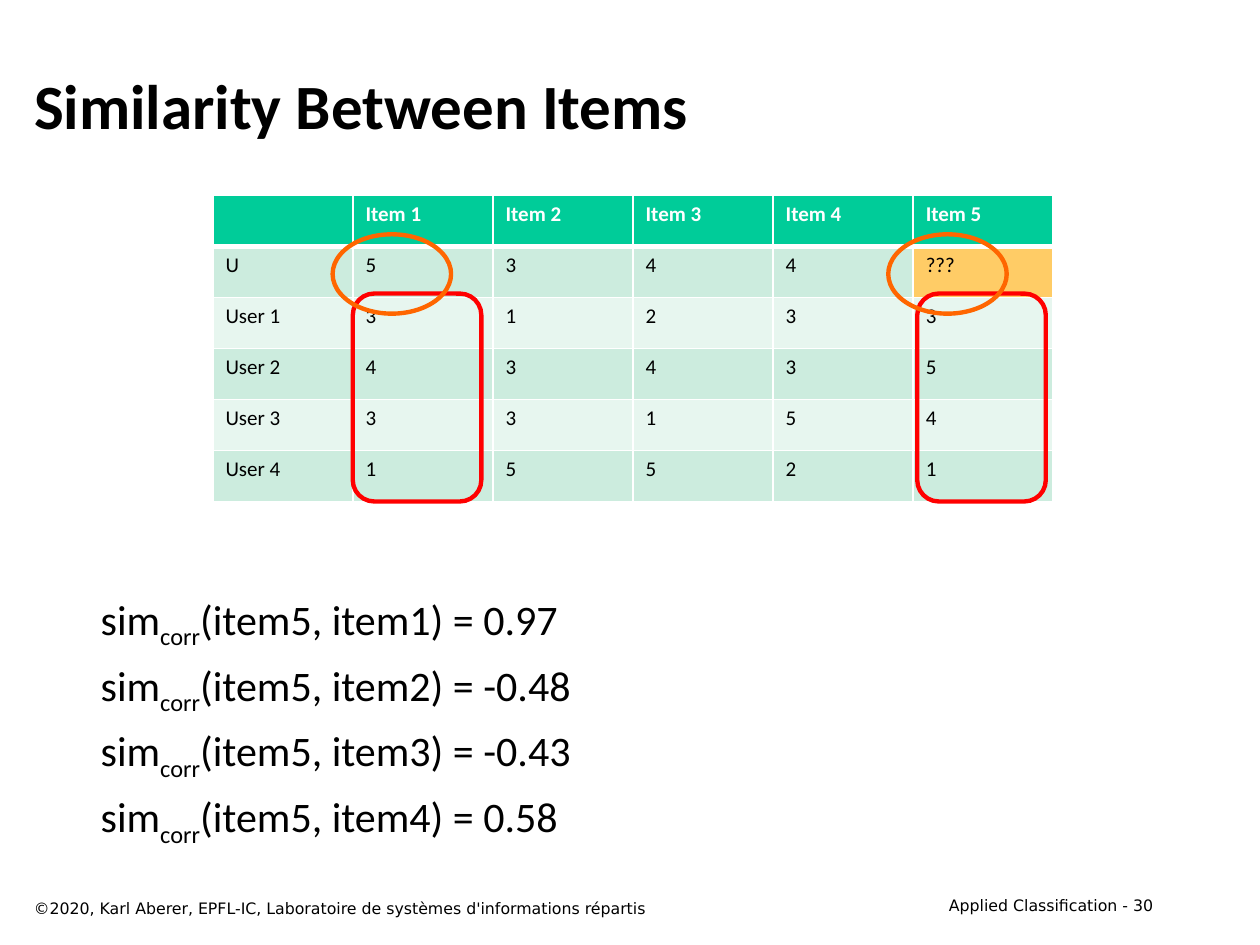
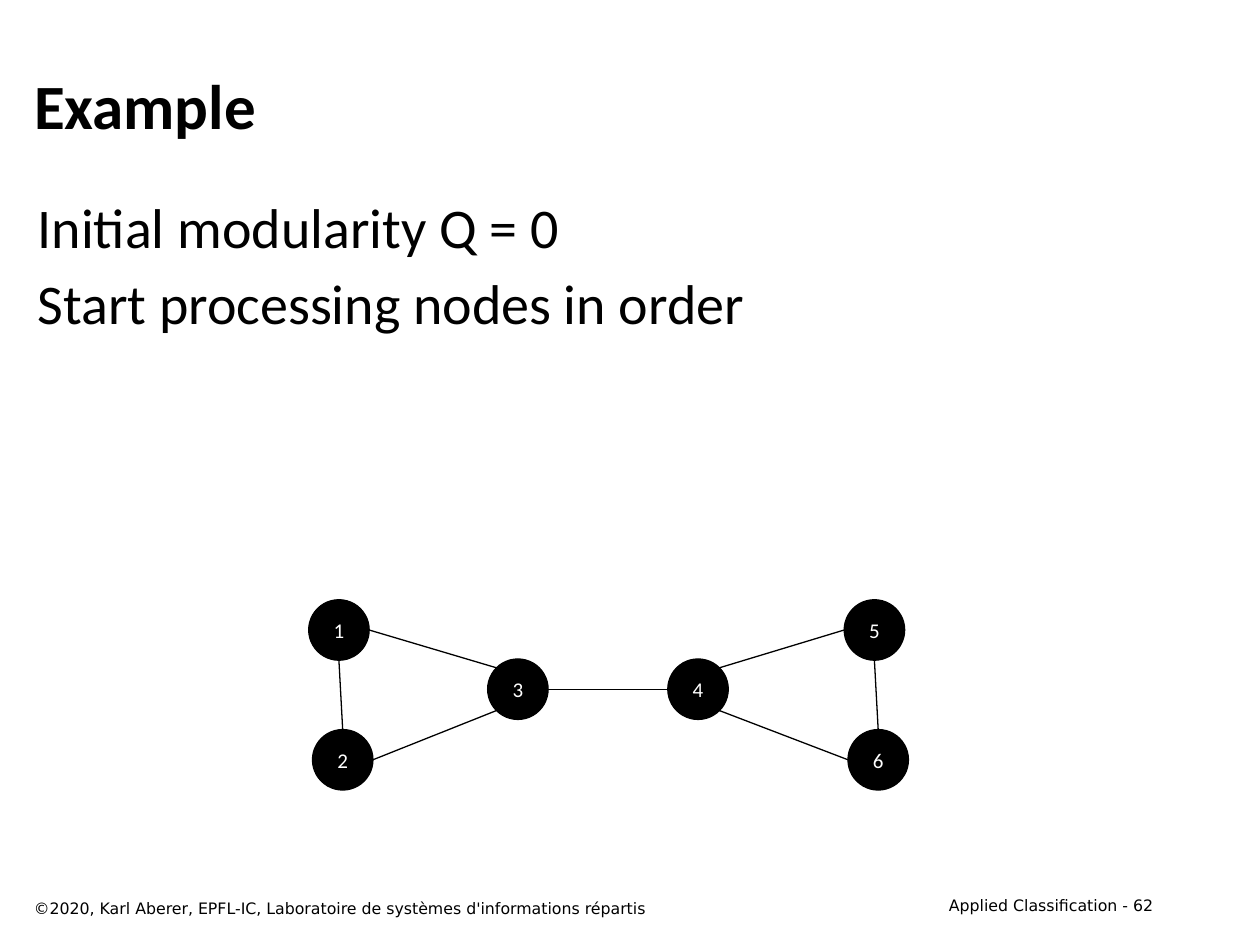
from dataclasses import dataclass
from math import cos, radians, sin

from lxml import etree
from pptx import Presentation
from pptx import util as u
from pptx.dml.color import RGBColor
from pptx.enum import shapes, text
from pptx.oxml import ns


@dataclass(frozen=True)
class Theme:
    # Colours
    black: str = "000000"
    white: str = "FFFFFF"
    header: str = "00CC99"
    band_dark: str = "CCECDE"
    band_light: str = "E7F6EF"
    unknown: str = "FFCC66"
    red: str = "FF0000"
    orange: str = "FF6600"
    # Fonts and type sizes
    font: str = "Calibri"
    footer_font: str = "DejaVu Sans"
    title_size: float = 36
    body_size: float = 32
    formula_size: float = 24
    small_size: float = 12
    footer_size: float = 9
    # Spacing and line widths
    paragraph_gap: float = 4.8
    thin: float = 0.75
    mark: float = 2.5


COPYRIGHT = "©2020, Karl Aberer, EPFL-IC, Laboratoire de systèmes d'informations répartis"
CHAPTER = "Applied Classification"
TITLE_ONLY = 5


def inches(*lengths):
    return [u.Inches(length) for length in lengths]


def assign(target, values):
    for name, value in values.items():
        setattr(target, name, value)


class SlideBuilder:
    """Holds the theme and the slide being built."""

    def __init__(self, deck, theme):
        self.deck = deck
        self.theme = theme
        self.page = None

    # Page frame: title and footers
    def start(self, title, number):
        theme = self.theme
        self.page = self.deck.slides.add_slide(self.deck.slide_layouts[TITLE_ONLY])
        heading = self.page.shapes.title
        assign(heading, dict(zip(("left", "top", "width", "height"),
                                 inches(0.17, 0.33, 9.08, 1))))
        self.fill_text(heading.text_frame, [title], size=theme.title_size, bold=True,
                       anchor=text.MSO_ANCHOR.MIDDLE)
        footer = {"size": theme.footer_size, "font": theme.footer_font}
        self.text_box((0.17, 7.08, 6.42, 0.25), [COPYRIGHT], **footer)
        self.text_box((7.17, 7.06, 2.08, 0.25), [f"{CHAPTER} - {number}"],
                      align=text.PP_ALIGN.RIGHT, **footer)

    # Text: each line is a string or a list of (words, baseline) spans
    def fill_text(self, frame, lines, size, color=None, font=None, bold=False,
                  align=text.PP_ALIGN.LEFT, anchor=text.MSO_ANCHOR.TOP):
        assign(frame, {"word_wrap": True, "auto_size": text.MSO_AUTO_SIZE.NONE,
                       "vertical_anchor": anchor})
        self.fill_lines(frame, lines, size, color, font, bold, align)

    def fill_lines(self, frame, lines, size, color=None, font=None, bold=False,
                   align=text.PP_ALIGN.LEFT):
        for index, line in enumerate(lines):
            para = frame.add_paragraph() if index else frame.paragraphs[0]
            para.alignment = align
            para.space_before = u.Pt(self.theme.paragraph_gap if index else 0)
            for words, baseline in [(line, 0)] if isinstance(line, str) else line:
                span = para.add_run()
                span.text = words
                assign(span.font, {"name": font or self.theme.font,
                                   "size": u.Pt(size), "bold": bold})
                span.font.color.rgb = RGBColor.from_string(color or self.theme.black)
                if baseline:
                    span._r.get_or_add_rPr().set("baseline", str(baseline * 1000))

    def text_box(self, place, lines, **style):
        box = self.page.shapes.add_textbox(*inches(*place))
        self.fill_text(box.text_frame, lines, **style)

    # Shapes and lines
    def shape(self, kind, place, line, width, fill=None):
        item = self.page.shapes.add_shape(kind, *inches(*place))
        item.shadow.inherit = False
        item.line.color.rgb = RGBColor.from_string(line)
        item.line.width = u.Pt(width)
        if fill:
            item.fill.solid()
            item.fill.fore_color.rgb = RGBColor.from_string(fill)
        else:
            item.fill.background()
        return item

    def node(self, label, center, radius):
        x, y = center
        theme = self.theme
        circle = self.shape(shapes.MSO_SHAPE.OVAL,
                            (x - radius, y - radius, 2 * radius, 2 * radius),
                            theme.black, theme.thin, theme.black)
        frame = circle.text_frame
        assign(frame, dict.fromkeys(
            ("margin_left", "margin_right", "margin_top", "margin_bottom"), 0))
        self.fill_text(frame, [label], size=theme.small_size, color=theme.white,
                       align=text.PP_ALIGN.CENTER, anchor=text.MSO_ANCHOR.MIDDLE)

    def line(self, start, end):
        edge = self.page.shapes.add_connector(
            shapes.MSO_CONNECTOR.STRAIGHT, *inches(*start, *end))
        edge.line.color.rgb = RGBColor.from_string(self.theme.black)
        edge.line.width = u.Pt(self.theme.thin)
        etree.SubElement(edge._element.spPr, ns.qn("a:effectLst"))

    # Table with white rules, a header row and bands
    def table(self, place, rows, special):
        theme = self.theme
        grid = self.page.shapes.add_table(len(rows), len(rows[0]), *inches(*place)).table
        for column in grid.columns:
            column.width = u.Inches(place[2] / len(rows[0]))
        for row in grid.rows:
            row.height = u.Inches(place[3] / len(rows))
        for r, values in enumerate(rows):
            band = theme.band_dark if r % 2 else theme.band_light
            for c, value in enumerate(values):
                cell = grid.cell(r, c)
                self.borders(cell, top=3 if r == 1 else 1, bottom=1 if r else 3)
                fill = special.get(value, band) if r else theme.header
                cell.fill.solid()
                cell.fill.fore_color.rgb = RGBColor.from_string(fill)
                if value:
                    self.fill_lines(cell.text_frame, [value], size=theme.small_size,
                                    color=None if r else theme.white, bold=r == 0)

    def borders(self, cell, top, bottom):
        properties = cell._tc.get_or_add_tcPr()
        for side, width in (("L", 1), ("R", 1), ("T", top), ("B", bottom)):
            rule = etree.SubElement(properties, ns.qn(f"a:ln{side}"), w=str(u.Pt(width)))
            paint = etree.SubElement(rule, ns.qn("a:solidFill"))
            etree.SubElement(paint, ns.qn("a:srgbClr"), val=self.theme.white)


def similarity_slide(builder):
    theme = builder.theme
    builder.start("Similarity Between Items", 30)

    # Ratings
    ratings = {"U": "5 3 4 4 ???", "User 1": "3 1 2 3 3", "User 2": "4 3 4 3 5",
               "User 3": "3 3 1 5 4", "User 4": "1 5 5 2 1"}
    rows = [[""] + [f"Item {n}" for n in range(1, 6)]]
    rows += [[user, *scores.split()] for user, scores in ratings.items()]
    builder.table((1.69, 1.55, 6.67, 2.43), rows, {"???": theme.unknown})

    # Marks on the compared columns
    for left in (2.8, 7.28):
        builder.shape(shapes.MSO_SHAPE.ROUNDED_RECTANGLE, (left, 2.33, 1.02, 1.65),
                      theme.red, theme.mark)
    for left in (2.64, 7.05):
        builder.shape(shapes.MSO_SHAPE.OVAL, (left, 1.86, 0.94, 0.63),
                      theme.orange, theme.mark)

    # Resulting similarities
    results = ("0.97", "-0.48", "-0.43", "0.58")
    formulas = [[("sim", 0), ("corr", -25), (f"(item5, item{n}) = {result}", 0)]
                for n, result in enumerate(results, 1)]
    builder.text_box((0.7, 4.66, 8.58, 2.31), formulas, size=theme.formula_size)


def graph_slide(builder):
    builder.start("Example", 62)
    builder.text_box((0.2, 1.48, 9.08, 2.52),
                     ["Initial modularity Q = 0", "Start processing nodes in order"],
                     size=builder.theme.body_size)

    # Nodes
    radius = 0.24
    centers = {1: (2.69, 5), 2: (2.72, 6.03), 3: (4.11, 5.47),
               4: (5.54, 5.47), 5: (6.94, 5), 6: (6.97, 6.03)}
    for number, center in centers.items():
        builder.node(str(number), center, radius)

    # Edges: node and angle at each end, clockwise from the right
    def rim(number, angle):
        x, y = centers[number]
        return x + radius * cos(radians(angle)), y + radius * sin(radians(angle))

    edges = [(1, 0, 3, 225), (1, 90, 2, 270), (2, 0, 3, 135), (3, 0, 4, 180),
             (4, 315, 5, 180), (4, 45, 6, 180), (6, 270, 5, 90)]
    for first, leaving, second, arriving in edges:
        builder.line(rim(first, leaving), rim(second, arriving))


def main():
    deck = Presentation()
    deck.slide_width, deck.slide_height = inches(10, 7.5)
    builder = SlideBuilder(deck, Theme())
    similarity_slide(builder)
    graph_slide(builder)
    deck.save("out.pptx")


if __name__ == "__main__":
    main()
